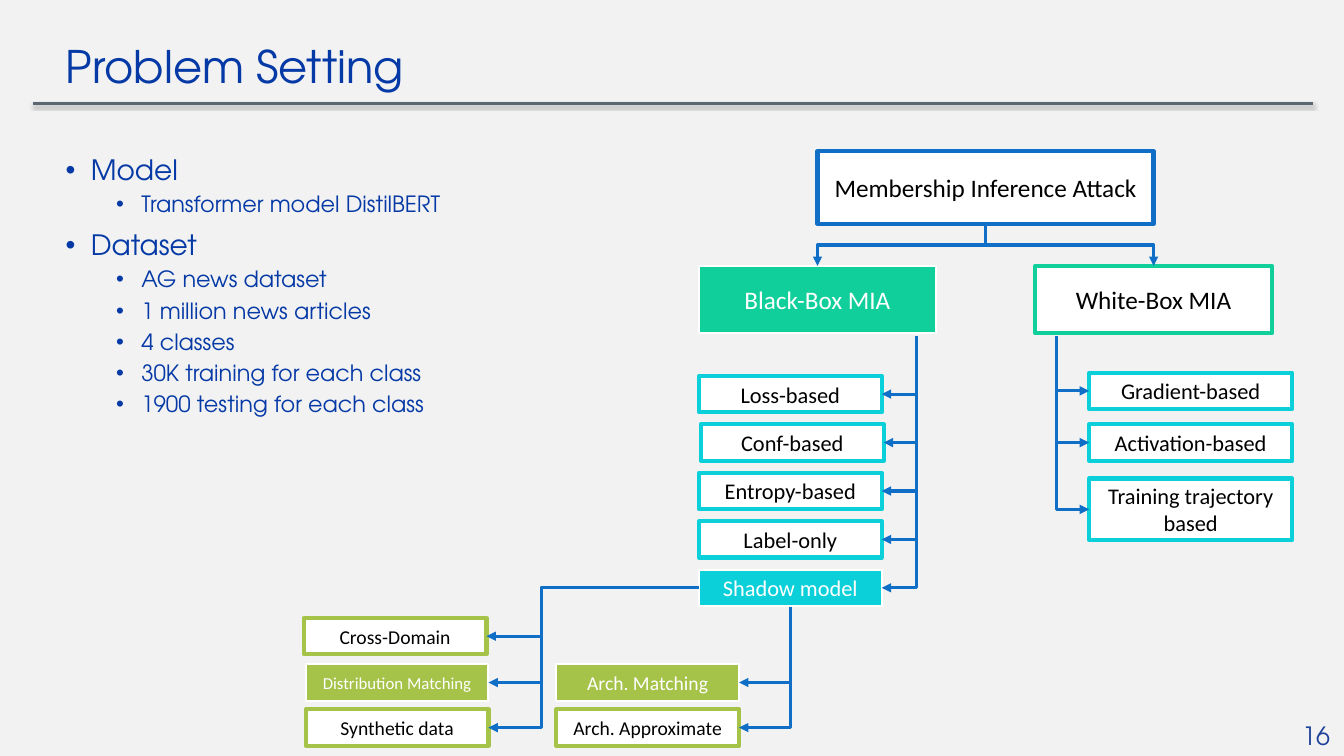
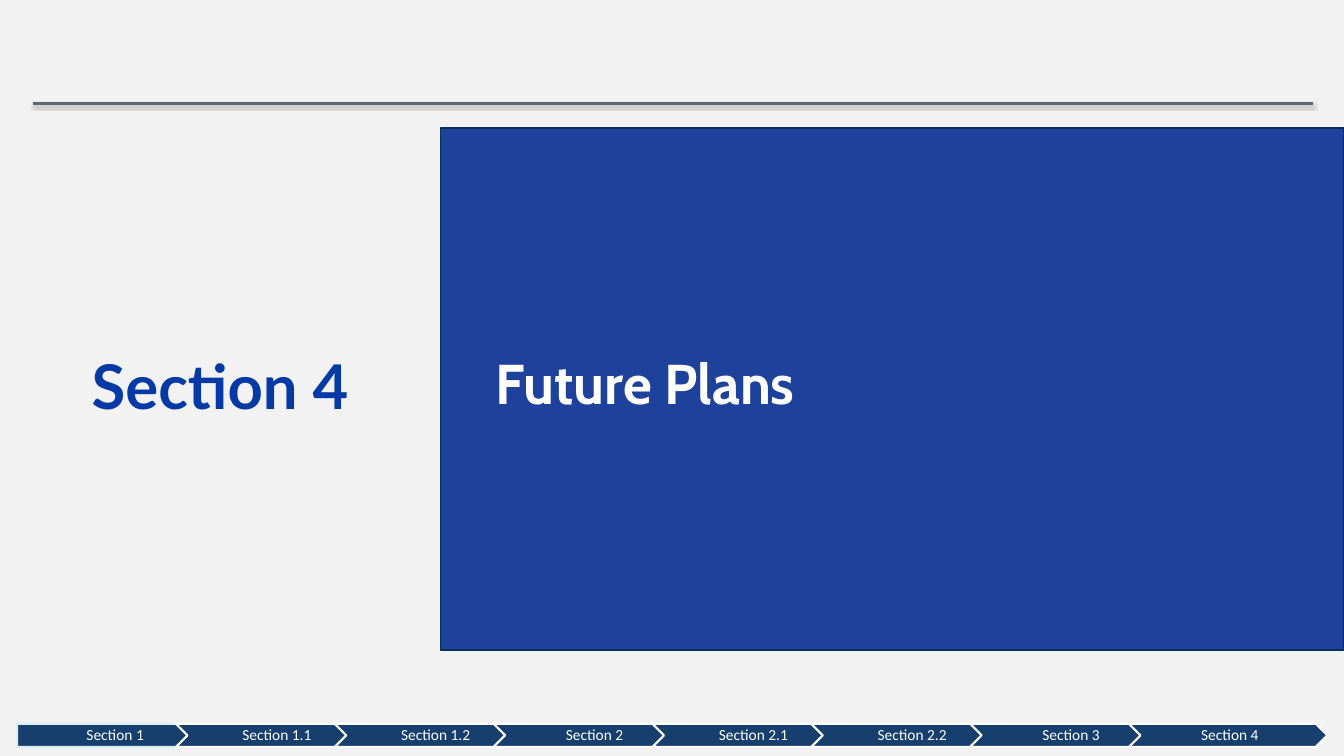
"""Build a problem-setting slide with an attack taxonomy and a section divider."""
from lxml import etree
from pptx import Presentation
from pptx.dml.color import RGBColor
from pptx.enum import shapes, text
from pptx.oxml import ns
from pptx.util import Pt

PAGE_FILL = RGBColor(0xF2, 0xF2, 0xF2)
RULE = RGBColor(0x5B, 0x67, 0x72)
INK = RGBColor(0x05, 0x39, 0xA6)
NAVY = RGBColor(0x1E, 0x41, 0x9B)
PANEL_EDGE = RGBColor(0x07, 0x31, 0x57)
STEP_FILL = RGBColor(0x17, 0x3F, 0x6D)
STEP_EDGE = RGBColor(0xDB, 0xEF, 0xF9)
BLUE = RGBColor(0x0F, 0x6F, 0xC6)
GREEN = RGBColor(0x10, 0xCF, 0x9B)
CYAN = RGBColor(0x0B, 0xD0, 0xD9)
OLIVE = RGBColor(0xA5, 0xC2, 0x49)
WHITE = RGBColor(0xFF, 0xFF, 0xFF)
BLACK = RGBColor(0, 0, 0)
DISPLAY, LABEL = "TeX Gyre Adventor", "Calibri"

OUTLINE = [
    ("Model", ["Transformer model DistilBERT"]),
    ("Dataset", ["AG news dataset", "1 million news articles", "4 classes",
                 "30K training for each class", "1900 testing for each class"]),
]
ROOT = ("Membership Inference Attack", (584, 108, 240, 52))
FAMILIES = [("Black-Box MIA", (499.3, 190, 169.2, 48), True),
            ("White-Box MIA", (739.4, 190, 169.2, 48), False)]
BRANCHES = [
    dict(color=CYAN, left=499.3, width=130.5, start=(654.5, 240), nodes=[
        ("Loss-based", 0, 268.5, 26, 16, False),
        ("Conf-based", 1.4, 303.1, 26, 16, False),
        ("Entropy-based", 0, 337.7, 26, 16, False),
        ("Label-only", 0, 372.3, 26, 16, False),
        ("Shadow model", 0, 406.9, 26, 16, True)]),
    dict(color=CYAN, left=778, width=145, start=(754.8, 240), nodes=[
        ("Gradient-based", 0, 266.2, 26, 16, False),
        ("Activation-based", 0, 303.1, 26, 16, False),
        ("Training trajectory\nbased", 0, 341.8, 44, 16, False)]),
    dict(color=OLIVE, left=397.4, width=130.5, start=(564.5, 433.5), nodes=[
        ("Arch. Matching", 0, 474.5, 26, 14, True),
        ("Arch. Approximate", 0, 506.7, 26, 14, False)]),
    dict(color=OLIVE, left=218.4, width=130.5, start=(499.3, 419.9), bend=386.6, nodes=[
        ("Cross-Domain", -1.4, 441.4, 26, 14, False),
        ("Distribution Matching", 0, 474.5, 26, 12, True),
        ("Synthetic data", 0, 506.7, 26, 14, False)]),
]
STEPS = ["Section 1", "Section 1.1", "Section 1.2", "Section 2",
         "Section 2.1", "Section 2.2", "Section 3", "Section 4"]
STEP_LEFT, STEP_PITCH, STEP_WIDTH = 12.24, 113.45, 141.8


def add_xml(parent, tag, **attributes):
    return etree.SubElement(parent, ns.qn(tag), attributes)


def place(shape, box):
    shape.left, shape.top, shape.width, shape.height = map(Pt, box)


def style(para, face, size, color, bold=False):
    para.font.name, para.font.size, para.font.bold = face, Pt(size), bold
    para.font.color.rgb = color


def set_list(para, level, bullet):
    props = para._p.get_or_add_pPr()
    indent = Pt(18) if bullet else 0
    props.set("marL", str(Pt(18 + 36 * level) if bullet else 0))
    props.set("indent", str(-indent))
    if bullet:
        add_xml(props, "a:buFont", typeface="Arial")
        add_xml(props, "a:buChar", char="•")
    else:
        add_xml(props, "a:buNone")
    para.level = level
    para.line_spacing = 0.9
    para.space_before = Pt(5 if level else 10)


def fill_placeholder(shape, box, lines, face, color, bullet=False, bold=False):
    place(shape, box)
    frame = shape.text_frame
    frame.word_wrap = True
    frame.auto_size = text.MSO_AUTO_SIZE.NONE
    frame.vertical_anchor = text.MSO_ANCHOR.TOP
    for index, (words, level, size) in enumerate(lines):
        para = frame.add_paragraph() if index else frame.paragraphs[0]
        para.text = words
        set_list(para, level, bullet)
        para.alignment = text.PP_ALIGN.LEFT
        style(para, face, size, color, bold)


def add_box(page, kind, box, fill, edge, width):
    shape = page.shapes.add_shape(kind, *map(Pt, box))
    shape.shadow.inherit = False
    shape.fill.solid()
    shape.fill.fore_color.rgb = fill
    shape.line.color.rgb = edge
    shape.line.width = Pt(width)
    return shape


def write_label(shape, words, size, color):
    frame = shape.text_frame
    frame.word_wrap = True
    frame.vertical_anchor = text.MSO_ANCHOR.MIDDLE
    frame.text = words
    for para in frame.paragraphs:
        para.alignment = text.PP_ALIGN.CENTER
        style(para, LABEL, size, color)


def add_node(page, words, box, color, size, solid):
    fill, edge, width, ink = (color, WHITE, 1.5, WHITE) if solid else (WHITE, color, 3, BLACK)
    shape = add_box(page, shapes.MSO_SHAPE.RECTANGLE, box, fill, edge, width)
    write_label(shape, words, size, ink)


def add_line(page, kind, start, end, color, width):
    line = page.shapes.add_connector(kind, *map(Pt, start + end))
    line.line.color.rgb = color
    line.line.width = Pt(width)
    return line, add_xml(line._element.spPr, "a:effectLst")


def add_elbow(page, start, end, vertical=True, ratio=None):
    """Draw a bent arrow downwards; without a ratio it has a single corner."""
    (x1, y1), (x2, y2) = start, end
    across, down = abs(x2 - x1), y2 - y1
    width, height = (down, across) if vertical else (across, down)
    left, top = (x1 + x2 - width) / 2, (y1 + y2 - height) / 2
    arrow, _ = add_line(page, shapes.MSO_CONNECTOR.ELBOW, (left, top),
                        (left + width, top + height), BLUE, 2.25)
    add_xml(arrow.line._get_or_add_ln(), "a:tailEnd", type="triangle")
    frame = arrow._element.spPr.find(ns.qn("a:xfrm"))
    if not vertical:
        arrow.rotation = 180 if hasattr(arrow, "rotation") else 0
        frame.set("rot", "10800000")
        frame.set("flipV", "1")
    elif x2 < x1:
        frame.set("rot", "5400000")
    else:
        frame.set("rot", "16200000")
        frame.set("flipH", "1")
    outline = arrow._element.spPr.find(ns.qn("a:prstGeom"))
    if ratio is None:
        outline.set("prst", "bentConnector2")
    else:
        values = outline.find(ns.qn("a:avLst"))
        if values is None:
            values = add_xml(outline, "a:avLst")
        add_xml(values, "a:gd", name="adj1", fmla=f"val {round(ratio * 100000)}")


def add_branch(page, color, left, width, start, nodes, bend=None):
    for words, shift, top, height, size, solid in nodes:
        box_left = left + shift
        add_node(page, words, (box_left, top, width, height), color, size, solid)
        target_x = box_left + width if start[0] > left else box_left
        ratio = (start[0] - bend) / (start[0] - target_x) if bend else None
        add_elbow(page, start, (target_x, top + height / 2), bend is None, ratio)


def add_master_rule(deck, page):
    line, effects = add_line(page, shapes.MSO_CONNECTOR.STRAIGHT,
                             (938.2, 73.9), (23.3, 73.9), RULE, 2.5)
    shadow = add_xml(effects, "a:outerShdw", blurRad=str(Pt(2)), dist=str(Pt(2)),
                     dir="5400000", algn="t", rotWithShape="0")
    shade = add_xml(shadow, "a:srgbClr", val="000000")
    add_xml(shade, "a:alpha", val="26000")
    line._element.nvCxnSpPr.cNvPr.set("id", "20")
    deck.slide_master.shapes._spTree.append(line._element)


def build_problem(page):
    title, body = page.placeholders
    fill_placeholder(title, (39.6, 28.4, 828, 49), [("Problem Setting", 0, 32)], DISPLAY, INK)
    lines = []
    for heading, items in OUTLINE:
        lines += [(heading, 0, 20)] + [(item, 1, 16) for item in items]
    fill_placeholder(body, (39.7, 107.8, 526, 342.7), lines, DISPLAY, INK, bullet=True)

    number = page.shapes.add_textbox(Pt(923), Pt(511), Pt(37), Pt(29)).text_frame
    number.word_wrap = True
    number.margin_right = 0
    number.text = "16"
    style(number.paragraphs[0], DISPLAY, 18, NAVY)

    words, root = ROOT
    add_node(page, words, root, BLUE, 18, False)
    root_foot = (root[0] + root[2] / 2, root[1] + root[3])
    for words, box, solid in FAMILIES:
        add_node(page, words, box, GREEN, 18, solid)
        add_elbow(page, root_foot, (box[0] + box[2] / 2, box[1]), ratio=0.5)
    for branch in BRANCHES:
        add_branch(page, **branch)


def build_section(page):
    title, body = page.placeholders
    panel = add_box(page, shapes.MSO_SHAPE.RECTANGLE, (314.6, 91.4, 645.4, 373), NAVY, PANEL_EDGE, 1)
    page.shapes._spTree.insert(2, panel._element)
    fill_placeholder(title, (58.3, 250.8, 256, 60), [("Section 4", 0, 44)], "Lato", INK, bold=True)
    fill_placeholder(body, (347, 250.8, 521, 77), [("Future Plans", 0, 40)], "Cabin", WHITE, bold=True)
    for index, words in enumerate(STEPS):
        kind = shapes.MSO_SHAPE.CHEVRON if index else shapes.MSO_SHAPE.PENTAGON
        box = (STEP_LEFT + index * STEP_PITCH, 517, STEP_WIDTH, 16.5)
        step = add_box(page, kind, box, STEP_FILL, WHITE if index else STEP_EDGE, 1.5)
        write_label(step, words, 11, WHITE)
        frame = step.text_frame
        frame.margin_left, frame.margin_right = Pt(4), Pt(1.5)
        frame.margin_top = frame.margin_bottom = Pt(2)
        frame.paragraphs[0].line_spacing = 0.9


def main():
    deck = Presentation()
    deck.slide_width, deck.slide_height = Pt(960), Pt(540)
    background = deck.slide_master.background.fill
    background.solid()
    background.fore_color.rgb = PAGE_FILL
    layout = deck.slide_layouts[1]
    problem, section = [deck.slides.add_slide(layout) for _ in range(2)]
    add_master_rule(deck, problem)
    build_problem(problem)
    build_section(section)
    deck.save("out.pptx")


if __name__ == "__main__":
    main()
